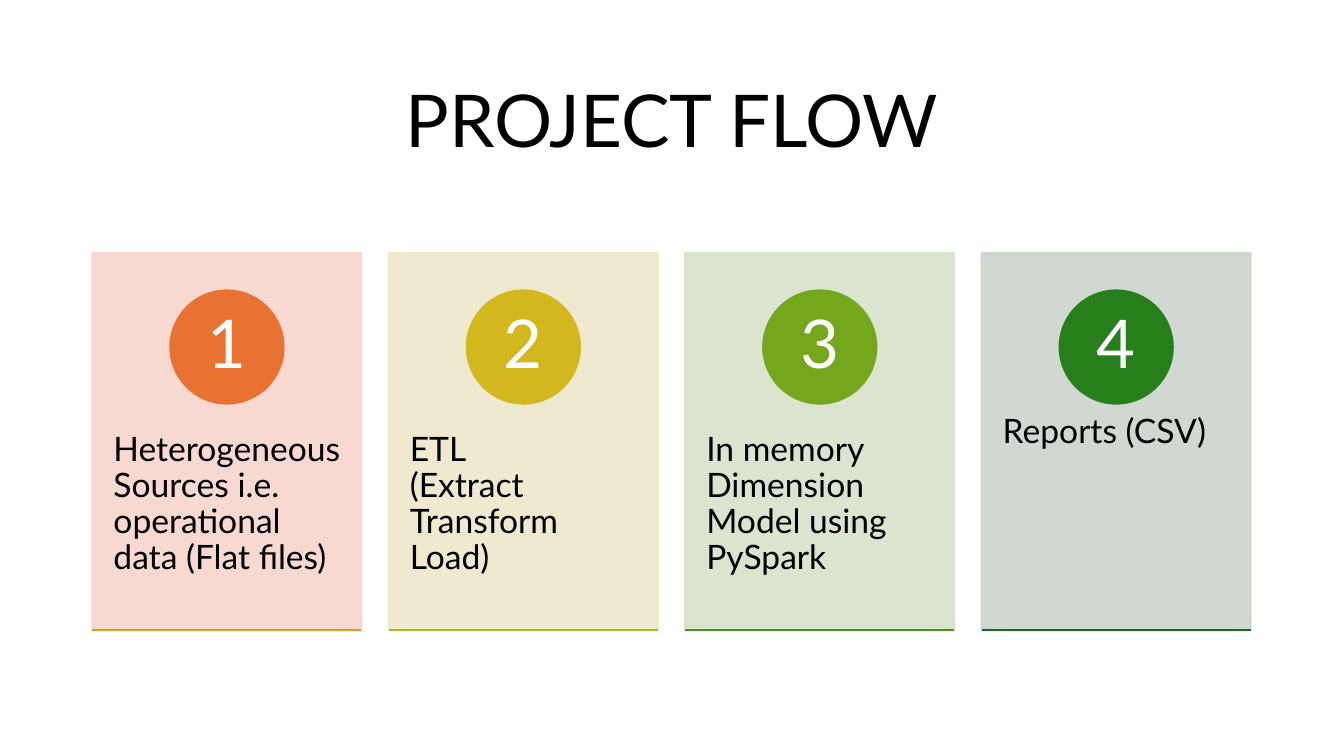
from lxml import etree
from pptx import Presentation
from pptx.dml.color import RGBColor
from pptx.enum.shapes import MSO_CONNECTOR, MSO_SHAPE
from pptx.enum.text import MSO_ANCHOR, PP_ALIGN
from pptx.oxml.ns import qn
from pptx.util import Cm, Pt

RECT, OVAL = MSO_SHAPE.RECTANGLE, MSO_SHAPE.OVAL
LINE = MSO_CONNECTOR.STRAIGHT
TOP, MID = MSO_ANCHOR.TOP, MSO_ANCHOR.MIDDLE
LEFT, MIDDLE = PP_ALIGN.LEFT, PP_ALIGN.CENTER

TITLE = "PROJECT FLOW"
STEPS = [
    ("Heterogeneous Sources i.e. operational data (Flat files)",
     "rose", "orange", "amber"),
    ("ETL\v(Extract Transform Load)", "cream", "gold", "lime"),
    ("In memory Dimension Model using PySpark", "mint", "green", "leaf"),
    ("Reports (CSV)", "mist", "forest", "pine"),
]
COLORS = {
    "black": "000000", "white": "FFFFFF",
    "rose": "F7D5CE", "cream": "EEE7CB", "mint": "D8E2CA", "mist": "CCD4CD",
    "orange": "E97132", "gold": "D2B81E", "green": "75A71D",
    "forest": "277F1B",
    "amber": "E49622", "lime": "ABBC1E", "leaf": "49931D", "pine": "196B24",
}

START, PITCH = 2.33, 7.47
CARD_TOP, CARD_W, CARD_H = 6.38, 6.78, 9.5
DISC_TOP, DISC = 7.32, 2.85
TEXT_TOP, TEXT_H = 9.98, 5.72
BASE = CARD_TOP + CARD_H


def color(name):
    return RGBColor.from_string(COLORS[name])


def write(shape, text, size, hue, align, anchor, side, edge):
    frame = shape.text_frame
    box = {"word_wrap": True, "vertical_anchor": anchor,
           "margin_left": Cm(side), "margin_right": Cm(side),
           "margin_top": Cm(edge), "margin_bottom": Cm(edge)}
    for key, value in box.items():
        setattr(frame, key, value)
    para = frame.paragraphs[0]
    para.text = text
    para.alignment = align
    para.line_spacing = 0.9
    for run in para.runs:
        for key, value in {"name": "Lato", "size": Pt(size)}.items():
            setattr(run.font, key, value)
        run.font.color.rgb = color(hue)


def draw(slide, kind, hue, *place):
    shape = slide.shapes.add_shape(kind, *map(Cm, place))
    shape.shadow.inherit = False
    shape.fill.solid()
    shape.fill.fore_color.rgb = color(hue)
    shape.line.color.rgb = color(hue)
    shape.line.width = Pt(1.5)
    return shape


def fade(shape, share):
    for tint in shape.element.spPr.iter(qn("a:srgbClr")):
        etree.SubElement(tint, qn("a:alpha"), val=str(share * 1000))


def rule(slide, hue, left, right, top):
    line = slide.shapes.add_connector(
        LINE, Cm(left), Cm(top), Cm(right), Cm(top))
    line.line.color.rgb = color(hue)
    line.line.width = Pt(1.5)
    etree.SubElement(line.element.spPr, qn("a:effectLst"))


def main():
    deck = Presentation()
    deck.slide_width, deck.slide_height = Cm(33.87), Cm(19.05)
    slide = deck.slides.add_slide(deck.slide_layouts[5])

    title = slide.shapes.title
    place = {"left": 2.33, "top": 1.55, "width": 29.21, "height": 3.15}
    for key, value in place.items():
        setattr(title, key, Cm(value))
    write(title, TITLE, 52, "black", MIDDLE, MID, 0.25, 0.13)

    for i, (text, pale, bold, base) in enumerate(STEPS):
        left = START + i * PITCH
        card = draw(slide, RECT, pale, left, CARD_TOP, CARD_W, CARD_H)
        fade(card, 90)
        label = slide.shapes.add_textbox(
            Cm(left), Cm(TEXT_TOP), Cm(CARD_W), Cm(TEXT_H))
        write(label, text, 24, "black", LEFT, TOP, 0.53, 0.91)
        disc = draw(slide, OVAL, bold,
                    left + (CARD_W - DISC) / 2, DISC_TOP, DISC, DISC)
        write(disc, str(i + 1), 48, "white", MIDDLE, MID, 0.23, 0.03)
        rule(slide, base, left, left + CARD_W, BASE)

    deck.save("out.pptx")


if __name__ == "__main__":
    main()
